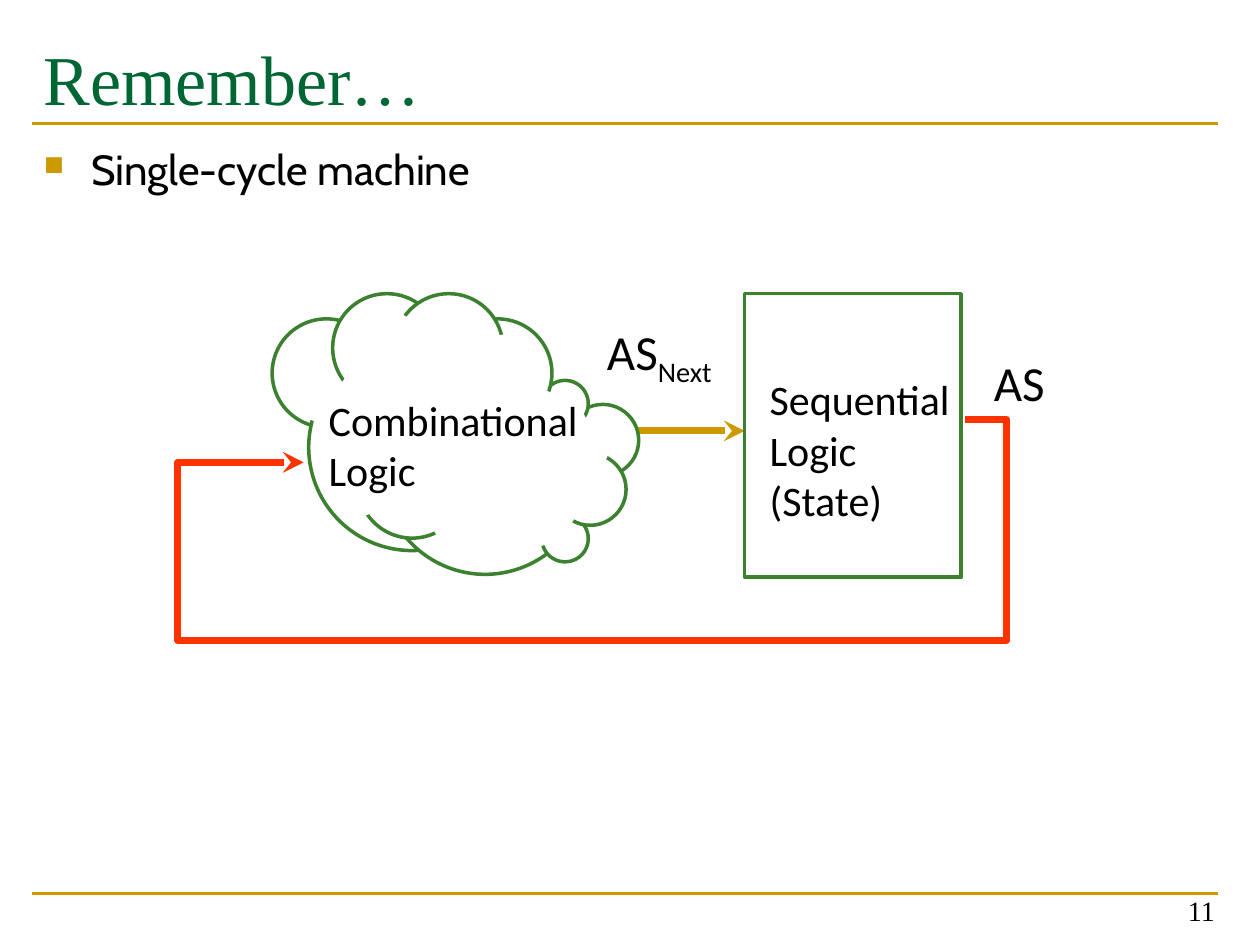
"""Build the slide that recalls the single-cycle machine."""
from lxml.etree import SubElement
from pptx import Presentation
from pptx.dml.color import RGBColor
from pptx.enum.shapes import MSO_CONNECTOR, MSO_SHAPE
from pptx.enum.text import MSO_ANCHOR, MSO_AUTO_SIZE, PP_ALIGN
from pptx.oxml.ns import qn
from pptx.util import Pt

GOLD = RGBColor(0xCC, 0x99, 0x00)
TITLE_GREEN = RGBColor(0x00, 0x66, 0x33)
GREEN = RGBColor(0x3B, 0x81, 0x2F)
RED = RGBColor(0xFF, 0x33, 0x00)
BLACK = RGBColor(0, 0, 0)
WHITE = RGBColor(0xFF, 0xFF, 0xFF)
SERIF, BODY, LABEL = "Times New Roman", "Cabin", "Calibri"

BIG, MEDIUM, SMALL, TINY = 118, 62, 41, 26.6
LEFT_PUFFS = [(155.5, 182.2, MEDIUM), (176.4, 196.6, BIG)]
LEFT_GAP = [(193, 210.2), (172.1, 237.6), (182.2, 241.9), (196.6, 213.1)]
PUFFS = [
    (218.2, 210.2, BIG), (324, 231.1, SMALL), (309.6, 294.5, TINY),
    (309.6, 217.4, TINY), (316.8, 259.2, SMALL), (190.1, 167.8, MEDIUM),
    (253.4, 182.2, MEDIUM), (225.4, 167.8, MEDIUM), (204.5, 245.5, MEDIUM),
]
CLOUD_CORE = [
    (228.2, 178.6), (256.3, 195.1), (290.9, 190.8), (312.5, 223.2),
    (318.2, 226.1), (333.4, 236.2), (337.7, 244.8), (347.8, 259.2),
    (345.6, 264.2), (321.8, 308.2), (305.3, 313.2), (251.3, 308.9),
    (247, 301.7), (211, 293.8), (204.5, 296.6), (190.8, 223.9),
]
FEEDBACK = [(551.5, 239.8), (575.3, 239.8), (575.3, 365.8),
            (101.5, 365.8), (101.5, 264.2), (173.5, 264.2)]


class Deck:
    """Hold the style and the current slide."""

    def __init__(self):
        self.prs = Presentation()
        self.prs.slide_width, self.prs.slide_height = Pt(720), Pt(540)
        self.s = self.prs.slides.add_slide(self.prs.slide_layouts[6])

    def outline(self, shape, color, width, arrow=False):
        shape.line.color.rgb = color
        shape.line.width = Pt(width)
        if arrow:
            ln = shape.line._get_or_add_ln()
            SubElement(ln, qn("a:tailEnd"), type="stealth")

    def line(self, x1, y1, x2, y2, color, width, arrow=False):
        c = self.s.shapes.add_connector(
            MSO_CONNECTOR.STRAIGHT, Pt(x1), Pt(y1), Pt(x2), Pt(y2))
        self.outline(c, color, width, arrow)
        SubElement(c._element.spPr, qn("a:effectLst"))

    def shape(self, kind, x, y, w, h, fill=None, parent=None):
        shapes = (parent or self.s).shapes
        sp = shapes.add_shape(kind, Pt(x), Pt(y), Pt(w), Pt(h))
        sp.shadow.inherit = False
        self.fill(sp, fill)
        self.outline(sp, GREEN, 2)

    def fill(self, sp, color):
        if color is None:
            sp.fill.background()
        else:
            sp.fill.solid()
            sp.fill.fore_color.rgb = color

    def path_shape(self, points, fill=None, parent=None, closed=True):
        start, *rest = [(Pt(x), Pt(y)) for x, y in points]
        builder = (parent or self.s).shapes.build_freeform(*start)
        builder.add_line_segments(rest, close=closed)
        sp = builder.convert_to_shape()
        sp.shadow.inherit = False
        self.fill(sp, fill)
        sp.line.fill.background()
        return sp

    def puffs(self, parent, circles):
        for x, y, size in circles:
            self.shape(MSO_SHAPE.OVAL, x, y, size, size, WHITE, parent)

    def cloud(self):
        group = self.s.shapes.add_group_shape()
        self.puffs(group, LEFT_PUFFS)
        self.path_shape(LEFT_GAP, WHITE, group)
        self.puffs(group, PUFFS)
        self.path_shape(CLOUD_CORE, WHITE, group)

    def bullet(self, p):
        pPr = p._p.get_or_add_pPr()
        pPr.set("marL", str(Pt(27)))
        pPr.set("indent", str(-Pt(27)))
        color = SubElement(pPr, qn("a:buClr"))
        SubElement(color, qn("a:srgbClr"), val=str(GOLD))
        SubElement(pPr, qn("a:buSzPct"), val="65000")
        SubElement(pPr, qn("a:buChar"), char="■")

    def text(self, text, x, y, w, h, size=24, font=LABEL, color=BLACK,
             sub=None, wrap=False, bullet=False, align=PP_ALIGN.LEFT,
             anchor=MSO_ANCHOR.TOP, top=3.6):
        tf = self.s.shapes.add_textbox(Pt(x), Pt(y), Pt(w), Pt(h)).text_frame
        tf.word_wrap = wrap
        tf.auto_size = (MSO_AUTO_SIZE.NONE if wrap
                        else MSO_AUTO_SIZE.SHAPE_TO_FIT_TEXT)
        tf.vertical_anchor = anchor
        tf.margin_top = Pt(top)
        tf.text = text
        if sub:
            r = tf.paragraphs[-1].add_run()
            r.text = sub
            r.font._element.set("baseline", "-25000")
        for p in tf.paragraphs:
            p.alignment = align
            if bullet:
                self.bullet(p)
            for r in p.runs:
                r.font.name, r.font.size = font, Pt(size)
                r.font.color.rgb = color


def main():
    d = Deck()
    for y in (510.5, 70.6):
        d.line(18, y, 696.2, y, GOLD, 1.5)
    d.text("Remember…", 18, 12.2, 702, 84.2, size=40, font=SERIF,
           color=TITLE_GREEN, wrap=True, top=8)
    d.text("Single-cycle machine", 18, 78.5, 678.2, 409, font=BODY,
           wrap=True, bullet=True)
    d.text("11", 533.5, 497.5, 167.8, 36, size=16, font=SERIF, wrap=True,
           align=PP_ALIGN.RIGHT, anchor=MSO_ANCHOR.BOTTOM)
    d.line(359.3, 246.2, 425.5, 246.2, GOLD, 4, arrow=True)
    d.cloud()
    d.text("AS", 339.8, 180, 74.9, 45.4, size=28, sub="Next")
    d.text("AS", 560.9, 198, 43.9, 41, size=28)
    feedback = d.path_shape(FEEDBACK, closed=False)
    d.outline(feedback, RED, 4, arrow=True)
    d.shape(MSO_SHAPE.RECTANGLE, 425.5, 167.8, 123.8, 162)
    d.text("Sequential\nLogic\n(State)", 432.7, 210.2, 117.4, 93.6)
    d.text("Combinational\nLogic", 180.7, 221.8, 157, 64.8)
    d.prs.save("out.pptx")


if __name__ == "__main__":
    main()
